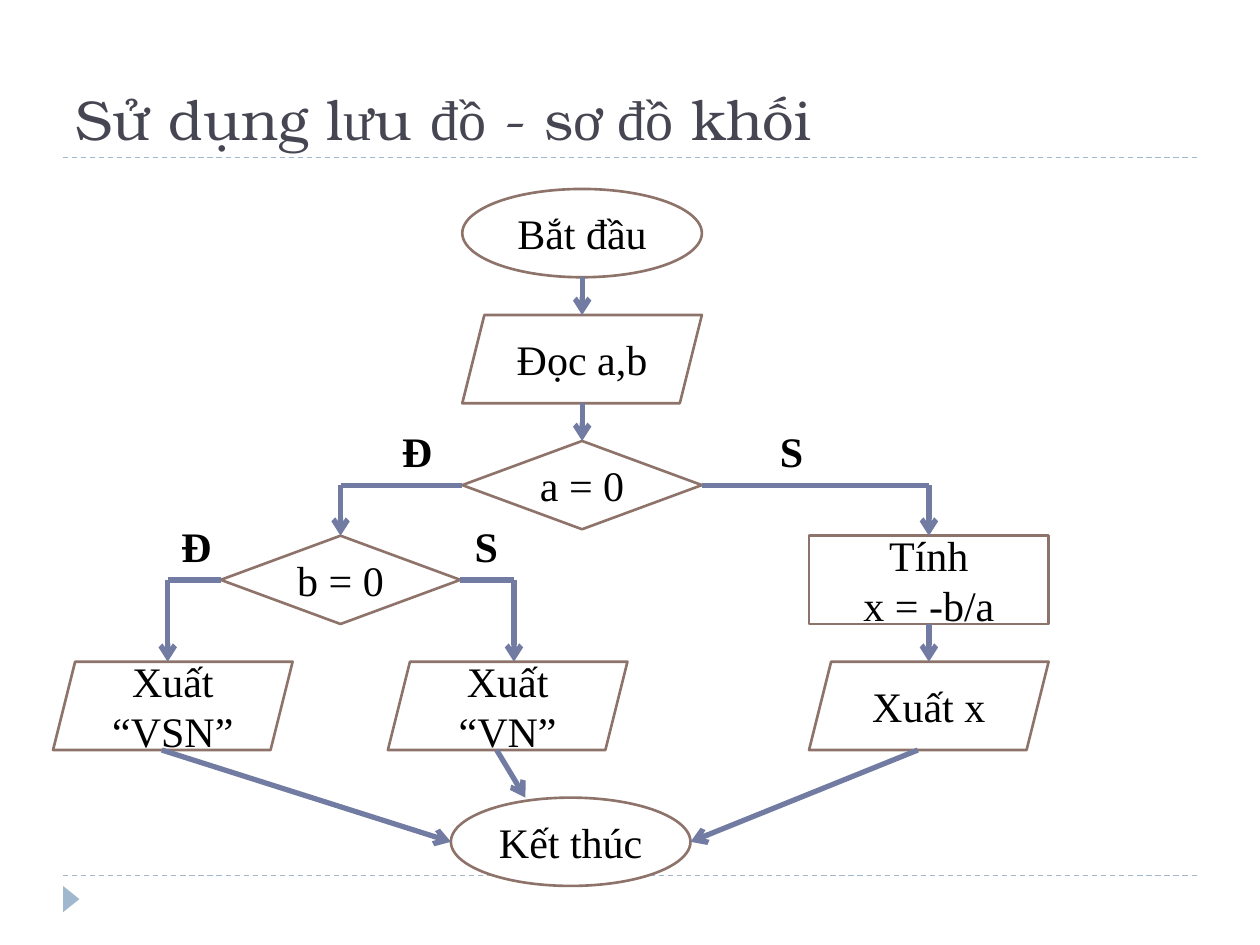
from lxml import etree
from pptx import Presentation
from pptx import util as u
from pptx.dml.color import RGBColor
from pptx.enum import dml, shapes, text
from pptx.oxml.ns import qn

COLORS = {"title": "464653", "rule": "9FB8CD", "arrow": "727CA3",
          "border": "8E736A", "fill": "FFFFFF", "text": "000000"}
SERIF, DISPLAY = "Times New Roman", "TeX Gyre Bonum"
NODE_W, NODE_H = 4.83, 1.78
TOP, LEFT, BOTTOM, RIGHT = range(4)
MSO = shapes.MSO_SHAPE
JOINED = (MSO.RECTANGLE, MSO.DIAMOND)


def rgb(name):
    return RGBColor.from_string(COLORS[name])


def set_font(font, color="text", **values):
    for key, value in values.items():
        setattr(font, key, value)
    font.color.rgb = rgb(color)


def add_line(s, start, end, color, width):
    c = s.shapes.add_connector(shapes.MSO_CONNECTOR.STRAIGHT,
                               *(u.Cm(v) for v in (*start, *end)))
    c.line.color.rgb = rgb(color)
    c.line.width = u.Pt(width)
    etree.SubElement(c._element.spPr, qn("a:effectLst"))
    return c


def add_title(s, box, pieces):
    sp = s.shapes.title
    for key, value in zip(("left", "top", "width", "height"), box):
        setattr(sp, key, u.Cm(value))
    tf = sp.text_frame
    tf.vertical_anchor = text.MSO_ANCHOR.BOTTOM
    p = tf.paragraphs[0]
    p.alignment = text.PP_ALIGN.LEFT
    for words, name in pieces:
        r = p.add_run()
        r.text = words
        set_font(r.font, "title", size=u.Pt(32), name=name)


def add_frame(s, box):
    x, y, w, h = box
    for line_y in (y, y + h):
        c = add_line(s, (x, line_y), (x + w, line_y), "rule", 0.75)
        c.line.dash_style = dml.MSO_LINE.DASH
    sp = s.shapes.add_shape(MSO.ISOSCELES_TRIANGLE, u.Cm(x - 0.1),
                            u.Cm(y + h + 0.31), u.Cm(0.53), u.Cm(0.33))
    sp.rotation = 90
    sp.shadow.inherit = False
    sp.fill.solid()
    sp.fill.fore_color.rgb = rgb("rule")
    sp.line.fill.background()


def add_node(s, kind, x, y, lines):
    sp = s.shapes.add_shape(kind, *(u.Cm(v) for v in (x, y, NODE_W, NODE_H)))
    sp.shadow.inherit = False
    sp.fill.solid()
    sp.fill.fore_color.rgb = rgb("fill")
    sp.line.color.rgb = rgb("border")
    sp.line.width = u.Pt(1.5)
    tf = sp.text_frame
    tf.text = "\n".join(lines)
    tf.word_wrap = True
    tf.vertical_anchor = text.MSO_ANCHOR.MIDDLE
    for p in tf.paragraphs:
        p.alignment = text.PP_ALIGN.CENTER
        set_font(p.font, size=u.Pt(24), name=SERIF)
    return sp


def add_label(s, x, y, words):
    sp = s.shapes.add_textbox(u.Cm(x), u.Cm(y), u.Cm(1.1), u.Cm(1.27))
    tf = sp.text_frame
    tf.word_wrap = False
    tf.text = words
    set_font(tf.paragraphs[0].font, size=u.Pt(24), name=SERIF, bold=True)


def add_flow(s, left, top):
    specs = {
        "start": (MSO.OVAL, 8.25, 0, ["Bắt đầu"]),
        "read": (MSO.PARALLELOGRAM, 8.25, 2.54, ["Đọc a,b"]),
        "a": (MSO.DIAMOND, 8.25, 5.08, ["a = 0"]),
        "b": (MSO.DIAMOND, 3.38, 6.99, ["b = 0"]),
        "calc": (MSO.RECTANGLE, 15.24, 6.99, ["Tính", "x = -b/a"]),
        "vsn": (MSO.PARALLELOGRAM, 0, 9.53, ["Xuất", "“VSN”"]),
        "vn": (MSO.PARALLELOGRAM, 6.75, 9.53, ["Xuất", "“VN”"]),
        "x": (MSO.PARALLELOGRAM, 15.24, 9.53, ["Xuất x"]),
        "end": (MSO.OVAL, 8.02, 12.27, ["Kết thúc"]),
    }
    nodes = {name: add_node(s, kind, left + x, top + y, lines)
             for name, (kind, x, y, lines) in specs.items()}

    def side(name, i):
        _, x, y, _ = specs[name]
        fx, fy = ((0.5, 0), (0, 0.5), (0.5, 1), (1, 0.5))[i]
        return x + fx * NODE_W, y + fy * NODE_H

    def place(spot):
        x, y = side(*spot) if isinstance(spot[0], str) else spot
        return left + x, top + y

    def link(start, end, arrow=True):
        c = add_line(s, place(start), place(end), "arrow", 3)
        for spot, join in ((start, c.begin_connect), (end, c.end_connect)):
            if spot[0] in specs and specs[spot[0]][0] in JOINED:
                join(nodes[spot[0]], spot[1])
        if arrow:
            etree.SubElement(c.line._get_or_add_ln(), qn("a:tailEnd"), type="arrow")

    def elbow(start, x, end):
        corner = (x, side(*start)[1])
        link(start, corner, arrow=False)
        link(corner, end)

    def foot(name):
        x, y = side(name, BOTTOM)
        return x - NODE_H / 8, y

    for upper, lower in (("start", "read"), ("read", "a"), ("calc", "x")):
        link((upper, BOTTOM), (lower, TOP))
    for branch, i, lower in (("a", LEFT, "b"), ("a", RIGHT, "calc")):
        elbow((branch, i), side(lower, TOP)[0], (lower, TOP))
    for i, x in ((LEFT, 2.31), (RIGHT, 9.29)):
        elbow(("b", i), x, (x, specs["vn"][2]))
    for output, target in (("vsn", ("end", LEFT)), ("vn", (9.52, 12.27)),
                           ("x", ("end", RIGHT))):
        link(foot(output), target)
    for x, y, words in ((6.78, 4.65, "Đ"), (14.4, 4.65, "S"),
                        (2.33, 6.55, "Đ"), (8.25, 6.55, "S")):
        add_label(s, left + x, top + y, words)


def main():
    prs = Presentation()
    prs.slide_width, prs.slide_height = u.Cm(25.4), u.Cm(19.05)
    s = prs.slides.add_slide(prs.slide_layouts[5])
    add_frame(s, (1.27, 3.18, 22.86, 14.47))
    add_title(s, (1.27, 0.64, 22.86, 2.54), [
        ("Sử dụng l", DISPLAY), ("ư", SERIF), ("u ", DISPLAY), ("đồ", SERIF),
        (" - s", DISPLAY), ("ơ đồ", SERIF), (" khối", DISPLAY)])
    add_flow(s, 1.07, 3.81)
    prs.save("out.pptx")


if __name__ == "__main__":
    main()
